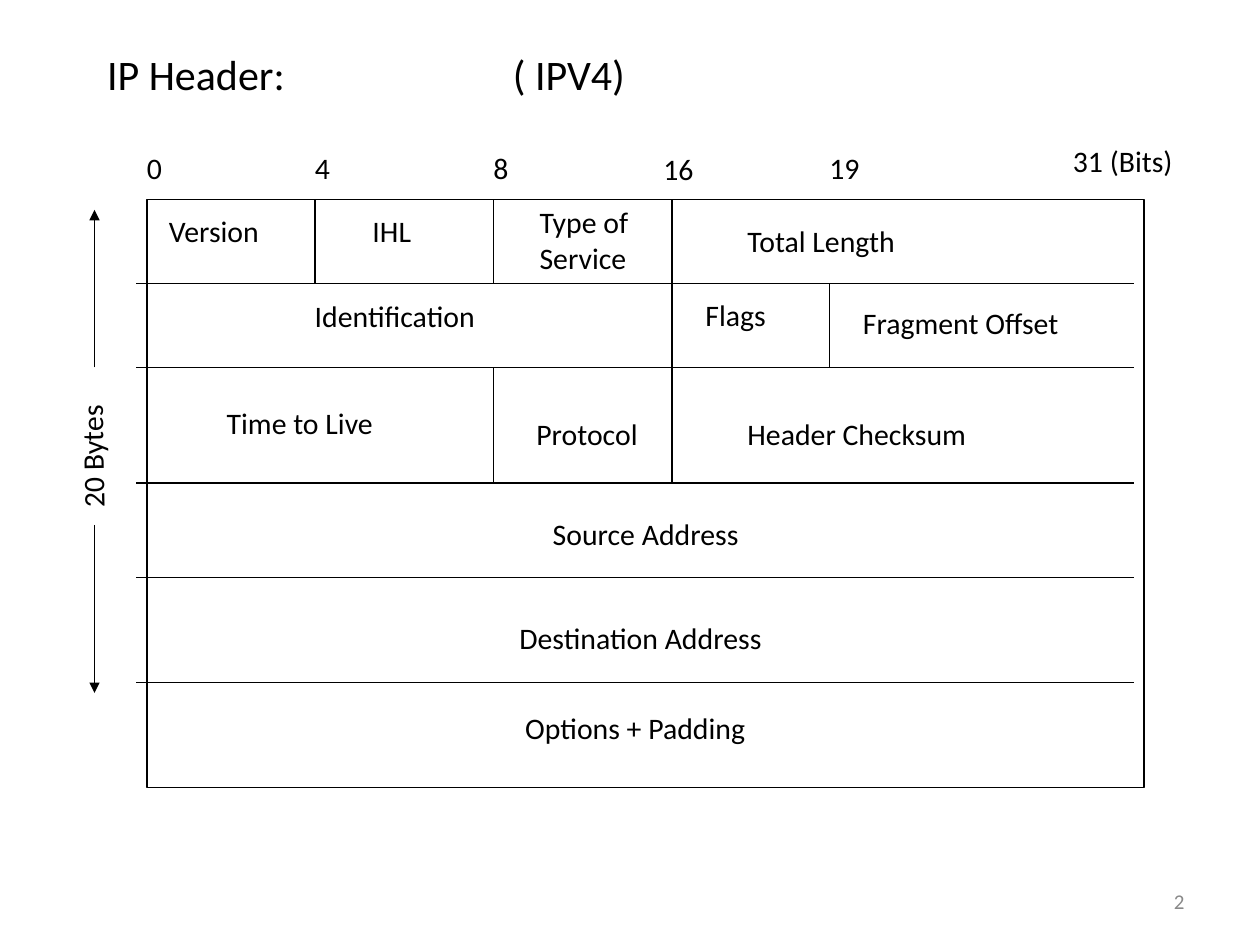
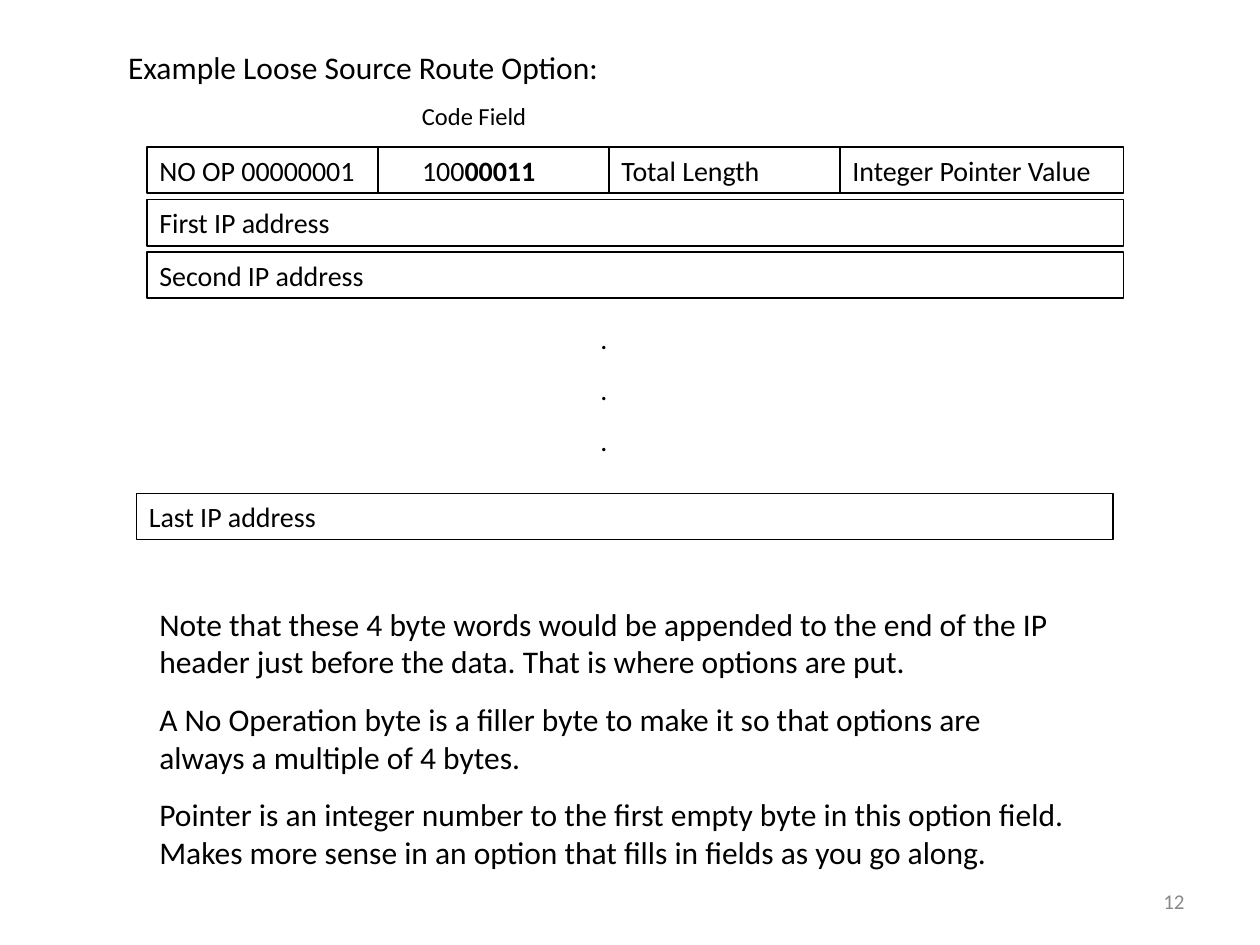
from collections import namedtuple

from lxml import etree
from pptx import Presentation
from pptx.dml.color import RGBColor
from pptx.enum.shapes import MSO_CONNECTOR, MSO_SHAPE
from pptx.enum.text import MSO_ANCHOR, MSO_AUTO_SIZE, PP_ALIGN
from pptx.oxml.ns import qn
from pptx.util import Inches, Pt

LEFT, CENTER, RIGHT = PP_ALIGN.LEFT, PP_ALIGN.CENTER, PP_ALIGN.RIGHT
TOP, MIDDLE = MSO_ANCHOR.TOP, MSO_ANCHOR.MIDDLE
RECTANGLE, STRAIGHT = MSO_SHAPE.RECTANGLE, MSO_CONNECTOR.STRAIGHT
NO_AUTOFIT = MSO_AUTO_SIZE.NONE
TITLE_ONLY = 5

FONT = "Calibri"
BLACK, WHITE, GRAY = "000000", "FFFFFF", "898989"
UNITS_PER_INCH = 12  # the slide is a grid of 120 columns and 90 rows
LABEL_SIZE, CELL_SIZE, NOTE_SIZE = 17, 16, 18
LABEL_HEIGHT, CELL_HEIGHT = 4.7, 4.4

Box = namedtuple("Box", "left top width height")

PAGE_NUMBER_BOX = Box(86, 83.4, 28, 4.8)

# Header diagram, in grid units from the corner of its frame
ROW_EDGES = [0, 8, 16, 27, 36, 46]
ROW_DIVIDERS = [[16, 33, 50], [50, 65], [33, 50]]
BIT_LABELS = [  # text, column, row, width
    ("0", -1.2, -5.3, 4),
    ("4", 14.8, -5.3, 4),
    ("8", 31.8, -5.3, 4),
    ("16", 48, -5.2, 5.5),
    ("19", 63.8, -5.3, 5.5),
    ("31 (Bits)", 87, -6, 15),
]
FIELD_LABELS = [
    ("Version", 0.9, 0.7, 11.4),
    ("IHL", 20.3, 0.7, 6.2),
    ("Type of\nService", 36.2, -0.2, 11.2),
    ("Total Length", 56, 1.6, 16.9),
    ("Flags", 52, 8.7, 8.4),
    ("Fragment Offset", 67, 9.4, 21.4),
    ("Time to Live", 6.4, 19, 16.5),
    ("Protocol", 35.9, 20, 12.4),
    ("Header Checksum", 56, 20, 23.6),
]
CENTERED_LABELS = [
    ("Identification", 14.6, 8.8, 18),
    ("Source Address", 33, 29.5, 29),
    ("Destination Address", 31, 39.4, 32),
    ("Options + Padding", 29, 48, 35),
]

OPTION_FIELDS = [  # runs of (text, bold), width, indent in inches
    ([("NO OP 00000001", False)], 22, 0),
    ([("100", False), ("00011", True)], 22, 0.25),
    ([("Total Length", False)], 22, 0),
    ([("Integer Pointer Value", False)], 27, 0),
]
ADDRESS_ROWS = [
    ("First IP address", 0, 5),
    ("Second IP address", 0, 10),
    ("Last IP address", -1, 33),
]
NOTES = [
    "Note that these 4 byte words would be appended to the end of the IP header "
    "just before the data. That is where options are put.",
    "A No Operation byte is a filler byte to make it so that options are always "
    "a multiple of 4 bytes.",
    "Pointer is an integer number to the first empty byte in this option field. "
    "Makes more sense in an option that fills in fields as you go along.",
]


def color(code):
    return RGBColor.from_string(code)


def grid(units):
    return Inches(units / UNITS_PER_INCH)


def inside(frame, left, top, width, height):
    return Box(frame.left + left, frame.top + top, width, height)


def plain(*lines):
    """Turn lines into paragraphs of one regular run each."""
    return [[(line, False)] for line in lines]


def write(shape, paragraphs, size, align=LEFT, anchor=TOP, ink=BLACK, before=0, indent=0):
    """Fill a shape with paragraphs, each a list of (text, bold) runs."""
    frame = shape.text_frame
    frame.word_wrap = True
    frame.auto_size = NO_AUTOFIT
    frame.vertical_anchor = anchor
    frame.margin_left = Inches(0.1 + indent)
    frame.margin_right = Inches(0.1)
    frame.margin_top = frame.margin_bottom = Inches(0.05)
    for index, runs in enumerate(paragraphs):
        para = frame.add_paragraph() if index else frame.paragraphs[0]
        para.alignment = align
        para.space_before = Pt(before)
        for text, bold in runs:
            span = para.add_run()
            span.text = text
            span.font.name = FONT
            span.font.size = Pt(size)
            span.font.bold = bold
            span.font.color.rgb = color(ink)


def add_text(page, box, paragraphs, size, **style):
    shape = page.shapes.add_textbox(*map(grid, box))
    write(shape, paragraphs, size, **style)
    return shape


def add_rectangle(page, box, fill=None):
    shape = page.shapes.add_shape(RECTANGLE, *map(grid, box))
    shape.shadow.inherit = False
    if fill:
        shape.fill.solid()
        shape.fill.fore_color.rgb = color(fill)
    else:
        shape.fill.background()
    shape.line.color.rgb = color(BLACK)
    shape.line.width = Pt(1)
    return shape


def add_line(page, frame, start, end, arrow=False):
    """Draw a line between two (column, row) points of the frame."""
    points = [grid(corner + offset) for point in (start, end)
              for corner, offset in zip((frame.left, frame.top), point)]
    line = page.shapes.add_connector(STRAIGHT, *points)
    line.line.color.rgb = color(BLACK)
    line.line.width = Pt(1)
    properties = line._element.spPr
    if arrow:
        outline = properties.find(qn("a:ln"))
        etree.SubElement(outline, qn("a:tailEnd"), type="triangle")
    etree.SubElement(properties, qn("a:effectLst"))


def add_page(deck, title, title_box, title_size, number):
    page = deck.slides.add_slide(deck.slide_layouts[TITLE_ONLY])
    heading = page.shapes.title
    heading.left, heading.top, heading.width, heading.height = map(grid, title_box)
    write(heading, plain(title), title_size, anchor=MIDDLE)
    add_text(page, PAGE_NUMBER_BOX, plain(number), 12,
             align=RIGHT, anchor=MIDDLE, ink=GRAY)
    return page


def set_title_tab(page, inches):
    properties = page.shapes.title.text_frame.paragraphs[0]._p.get_or_add_pPr()
    stops = etree.SubElement(properties, qn("a:tabLst"))
    etree.SubElement(stops, qn("a:tab"), pos=str(Inches(inches)), algn="l")


def draw_byte_span(page, frame):
    label = add_text(page, inside(frame, -11.4, 22, 12.4, LABEL_HEIGHT),
                     plain("20 Bytes"), LABEL_SIZE)
    label.rotation = 269.1
    add_line(page, frame, (-5, 31), (-5, 47), arrow=True)
    add_line(page, frame, (-5, 16), (-5, 1), arrow=True)


def draw_header_diagram(page, frame):
    add_rectangle(page, frame, WHITE)
    for edge in ROW_EDGES[1:]:
        add_line(page, frame, (-1, edge), (frame.width - 1, edge))
    for top, bottom, columns in zip(ROW_EDGES, ROW_EDGES[1:], ROW_DIVIDERS):
        for column in columns:
            add_line(page, frame, (column, top), (column, bottom))
    for labels, align in ((BIT_LABELS + FIELD_LABELS, LEFT), (CENTERED_LABELS, CENTER)):
        for text, column, row, width in labels:
            lines = text.split("\n")
            box = inside(frame, column, row, width, LABEL_HEIGHT + 3.4 * (len(lines) - 1))
            add_text(page, box, plain(*lines), LABEL_SIZE, align=align)
    draw_byte_span(page, frame)


def draw_option_layout(page, frame):
    add_text(page, inside(frame, 25, -5, 15, 4), plain("Code Field"), 14)
    left = 0
    for runs, width, indent in OPTION_FIELDS:
        cell = add_rectangle(page, inside(frame, left, 0, width, CELL_HEIGHT))
        write(cell, [runs], CELL_SIZE, indent=indent)
        left += width
    for text, column, row in ADDRESS_ROWS:
        bar = add_rectangle(page, inside(frame, column, row, frame.width, CELL_HEIGHT))
        write(bar, plain(text), CELL_SIZE)
    add_text(page, inside(frame, 42, 16, 9, 14.2), plain(".", ".", "."),
             CELL_SIZE, before=10)


def build_header_page(deck):
    page = add_page(deck, "IP Header:\t( IPV4)", Box(9, 4, 100, 6), 24, "2")
    set_title_tab(page, 3.22)
    draw_header_diagram(page, Box(14, 19, 95, 56))


def build_option_page(deck):
    page = add_page(deck, "Example Loose Source Route Option:", Box(11, 4, 87, 4.8),
                    NOTE_SIZE, "12")
    draw_option_layout(page, Box(14, 14, 93, 37.4))
    add_text(page, Box(14, 57, 89, 26.6), plain(*NOTES), NOTE_SIZE, before=11.2)


def main():
    deck = Presentation()
    deck.slide_width, deck.slide_height = Inches(10), Inches(7.5)
    build_header_page(deck)
    build_option_page(deck)
    deck.save("out.pptx")


if __name__ == "__main__":
    main()
